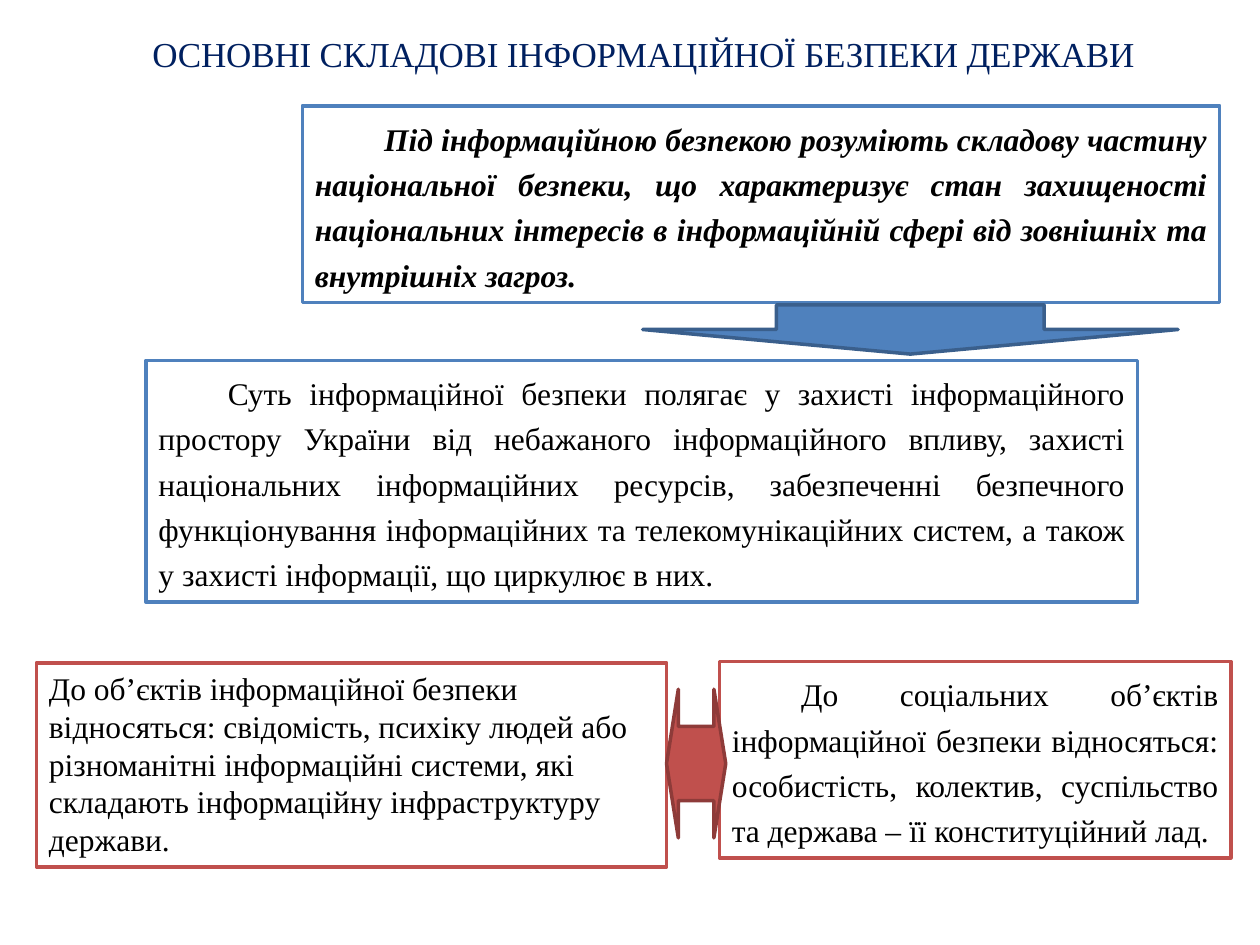
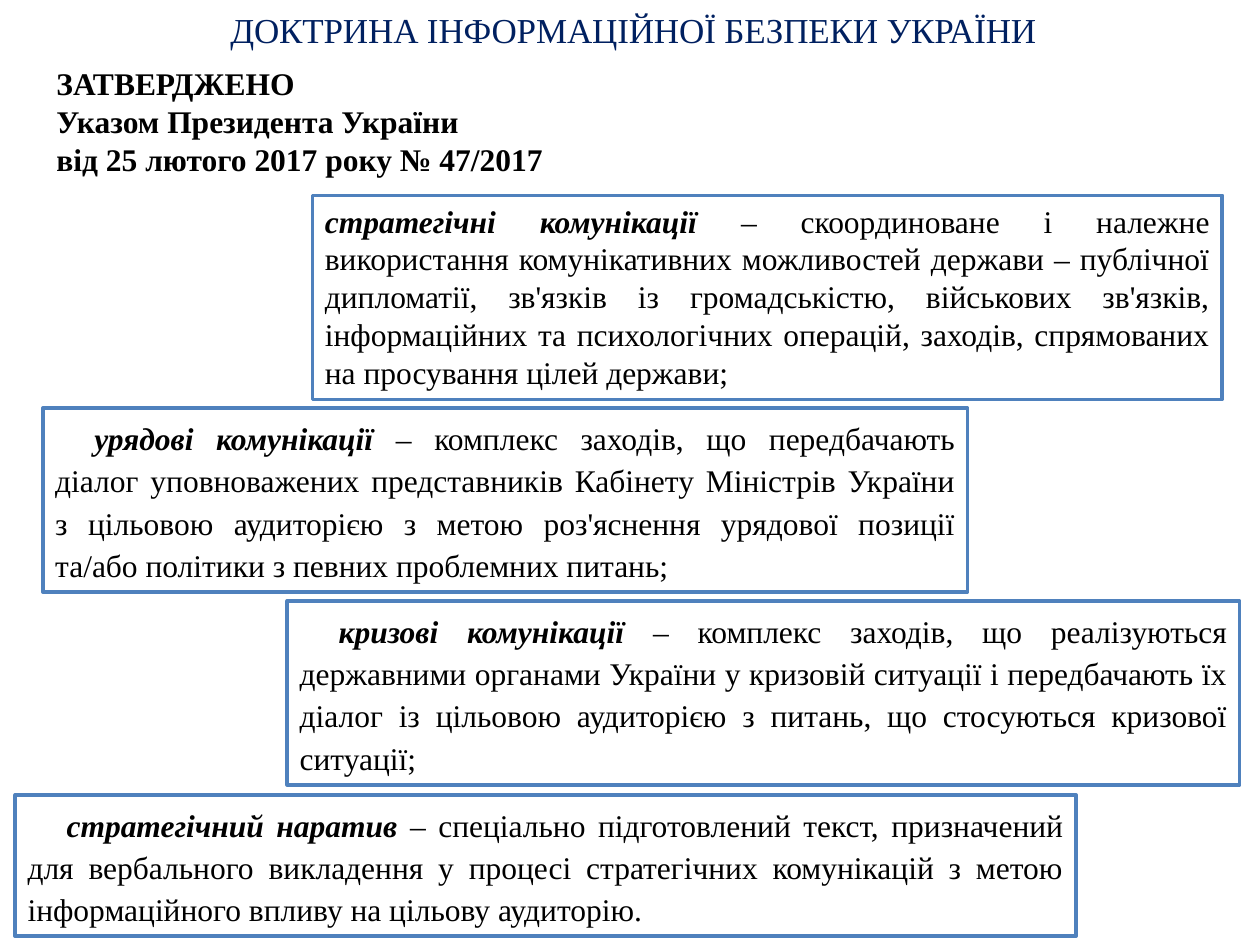
import pptx
import pptx.dml.color
import pptx.enum.shapes
import pptx.enum.text
import pptx.util

Inches, Pt = pptx.util.Inches, pptx.util.Pt
SHAPE = pptx.enum.shapes.MSO_SHAPE
ALIGN = pptx.enum.text.PP_ALIGN
FONT = "Times New Roman"
NAVY, BLACK, WHITE = "002060", "000000", "FFFFFF"
BLUE, DARK_BLUE = "4F81BD", "3A5F8C"
RED, DARK_RED = "C0504D", "8E3B39"


def color(value):
    """Turn a hex string into a colour."""
    return pptx.dml.color.RGBColor.from_string(value)


def style_text(p, size=18, ink=BLACK, align=ALIGN.LEFT, bold=False, italic=False):
    """Set the font and alignment of a paragraph."""
    p.alignment = align
    p.font.name, p.font.size = FONT, Pt(size)
    p.font.bold, p.font.italic = bold, italic
    p.font.color.rgb = color(ink)


def prepare_frame(sp):
    """Make the text of a shape wrap from the top and return its frame."""
    tf = sp.text_frame
    tf.word_wrap = True
    tf.auto_size = pptx.enum.text.MSO_AUTO_SIZE.NONE
    tf.vertical_anchor = pptx.enum.text.MSO_ANCHOR.TOP
    return tf


def add_title(slide, text, left, top):
    """Place the slide title."""
    sp = slide.shapes.title
    sp.left, sp.top = Inches(left), Inches(top)
    sp.width, sp.height = Inches(9.65), Inches(0.44)
    p = prepare_frame(sp).paragraphs[0]
    style_text(p, 20, NAVY, ALIGN.CENTER)
    r = p.add_run()
    r.text = text
    r.font._element.set("spc", "-10")


def add_outlined(slide, kind, box, fill, line):
    """Add a filled preset shape with a two-point outline."""
    sp = slide.shapes.add_shape(kind, *map(Inches, box))
    sp.shadow.inherit = False
    sp.fill.solid()
    sp.fill.fore_color.rgb = color(fill)
    sp.line.color.rgb = color(line)
    sp.line.width = Pt(2)
    return sp


def add_text_box(slide, box, line, text, term="", indent=0, spacing=1,
                 before=0, after=0, align=ALIGN.JUSTIFY, emphasis=False):
    """Add an outlined box with one paragraph, led by an optional bold term."""
    sp = add_outlined(slide, SHAPE.RECTANGLE, box, WHITE, line)
    p = prepare_frame(sp).paragraphs[0]
    style_text(p, align=align, bold=emphasis, italic=emphasis)
    p.line_spacing = spacing
    p.space_before, p.space_after = Pt(before), Pt(after)
    p._p.get_or_add_pPr().set("indent", str(Inches(indent)))
    if term:
        r = p.add_run()
        r.text = term + " "
        r.font.bold = r.font.italic = True
    p.add_run().text = text


def add_approval(slide, box, text):
    """Add the bold approval note."""
    sp = slide.shapes.add_textbox(*map(Inches, box))
    p = prepare_frame(sp).paragraphs[0]
    p.text = text
    style_text(p, bold=True)


def add_objects(slide, left, top):
    """Add the two boxes of security objects and the arrow between them."""
    add_text_box(
        slide, (left, top + 0.01, 5, 1.62), RED,
        "До об’єктів інформаційної безпеки відносяться: свідомість, психіку людей "
        "або різноманітні інформаційні системи, які складають інформаційну "
        "інфраструктуру держави.", align=ALIGN.LEFT)
    add_text_box(
        slide, (left + 5.42, top, 4.06, 1.56), RED,
        "До соціальних об’єктів інформаційної безпеки відносяться: особистість, "
        "колектив, суспільство та держава – її конституційний лад.",
        indent=0.55, spacing=1.2)
    arrow = add_outlined(slide, SHAPE.LEFT_RIGHT_ARROW,
                         (left + 5, top + 0.22, 0.47, 1.18), RED, DARK_RED)
    arrow.adjustments[1] = 0.2


def build_components(slide):
    """Build the slide on the components of information security."""
    add_title(slide, "ОСНОВНІ СКЛАДОВІ ІНФОРМАЦІЙНОЇ БЕЗПЕКИ ДЕРЖАВИ", 0.28, 0.21)
    add_text_box(
        slide, (2.4, 0.84, 7.28, 1.56), BLUE,
        "Під інформаційною безпекою розуміють складову частину національної безпеки, "
        "що характеризує стан захищеності національних інтересів в інформаційній "
        "сфері від зовнішніх та внутрішніх загроз.",
        indent=0.55, spacing=1.2, before=6, emphasis=True)
    add_text_box(
        slide, (1.16, 2.86, 7.87, 1.92), BLUE,
        "Суть інформаційної безпеки полягає у захисті інформаційного простору України "
        "від небажаного інформаційного впливу, захисті національних інформаційних "
        "ресурсів, забезпеченні безпечного функціонування інформаційних та "
        "телекомунікаційних систем, а також у захисті інформації, що циркулює в них.",
        indent=0.55, spacing=1.2)
    add_outlined(slide, SHAPE.DOWN_ARROW, (5.1, 2.42, 4.25, 0.39), BLUE, DARK_BLUE)
    add_objects(slide, 0.29, 5.25)


def build_doctrine(slide):
    """Build the slide on the information security doctrine."""
    add_title(slide, "ДОКТРИНА ІНФОРМАЦІЙНОЇ БЕЗПЕКИ УКРАЇНИ", 0.2, 0.02)
    add_approval(slide, (0.35, 0.46, 5, 1.01),
                 "ЗАТВЕРДЖЕНО\nУказом Президента України\n"
                 "від 25 лютого 2017 року № 47/2017")
    add_text_box(
        slide, (2.48, 1.55, 7.22, 1.62), BLUE,
        "– скоординоване і належне використання комунікативних можливостей держави – "
        "публічної дипломатії, зв'язків із громадськістю, військових зв'язків, "
        "інформаційних та психологічних операцій, заходів, спрямованих на просування "
        "цілей держави;", term="стратегічні комунікації")
    definitions = [
        ((0.34, 3.24, 7.34, 1.46), "урядові комунікації",
         "– комплекс заходів, що передбачають діалог уповноважених представників "
         "Кабінету Міністрів України з цільовою аудиторією з метою роз'яснення "
         "урядової позиції та/або політики з певних проблемних питань;"),
        ((2.28, 4.77, 7.56, 1.46), "кризові комунікації",
         "– комплекс заходів, що реалізуються державними органами України у кризовій "
         "ситуації і передбачають їх діалог із цільовою аудиторією з питань, що "
         "стосуються кризової ситуації;"),
        ((0.12, 6.31, 8.42, 1.12), "стратегічний наратив",
         "– спеціально підготовлений текст, призначений для вербального викладення у "
         "процесі стратегічних комунікацій з метою інформаційного впливу на цільову "
         "аудиторію."),
    ]
    for box, term, text in definitions:
        add_text_box(slide, box, BLUE, text, term, indent=0.31, spacing=1.12, after=7.5)


def main():
    """Build and save the presentation."""
    prs = pptx.Presentation()
    prs.slide_width, prs.slide_height = Inches(10), Inches(7.5)
    for build in (build_components, build_doctrine):
        build(prs.slides.add_slide(prs.slide_layouts[5]))
    prs.save("out.pptx")


if __name__ == "__main__":
    main()
